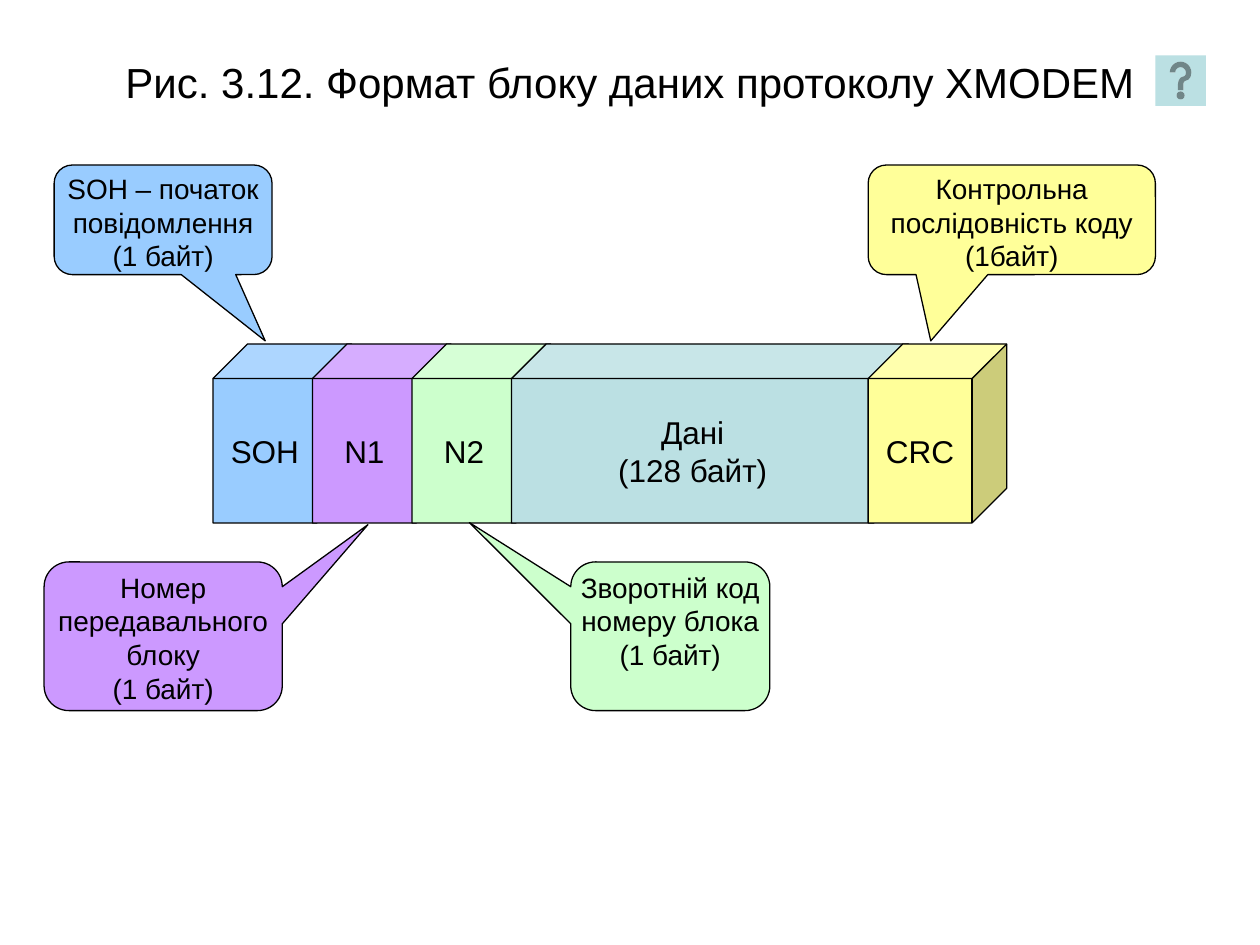
from dataclasses import dataclass

from pptx import Presentation
from pptx.dml.color import RGBColor
from pptx.enum.shapes import MSO_SHAPE
from pptx.enum.text import MSO_ANCHOR, MSO_AUTO_SIZE, PP_ALIGN
from pptx.util import Inches, Pt

COLUMNS, ROWS = 100, 75
BLACK, BLUE, VIOLET = "000000", "99CCFF", "CC99FF"
GREEN, TEAL, YELLOW = "CCFFCC", "BBE0E3", "FFFF99"
BLOCK_LEFT, BLOCK_TOP, BLOCK_HEIGHT, DEPTH = 16.9, 27.3, 14.2, 2.75

deck = Presentation()
deck.slide_width, deck.slide_height = Inches(10), Inches(7.5)
slide = deck.slides.add_slide(deck.slide_layouts[5])


@dataclass(frozen=True)
class Box:
    left: float
    top: float
    width: float
    height: float

    def emu(self) -> tuple[int, ...]:
        across, down = deck.slide_width / COLUMNS, deck.slide_height / ROWS
        return (round(self.left * across), round(self.top * down),
                round(self.width * across), round(self.height * down))


@dataclass(frozen=True)
class Field:
    label: str
    colour: str
    pitch: float
    width: float = 11


@dataclass(frozen=True)
class Callout:
    note: str
    colour: str
    box: Box
    tip: tuple[float, float]


FIELDS = [
    Field("SOH", BLUE, 7.9),
    Field("N1", VIOLET, 7.9),
    Field("N2", GREEN, 7.9),
    Field("Дані\n(128 байт)", TEAL, 28.3, 31.5),
    Field("CRC", YELLOW, 8.25),
]
CALLOUTS = [
    Callout("SOH – початок повідомлення\n(1 байт)", BLUE,
            Box(4.3, 13.1, 17.3, 8.7), (21.06, 27.06)),
    Callout("Контрольна послідовність коду\n(1байт)", YELLOW,
            Box(68.9, 13.1, 22.8, 8.7), (73.87, 27.06)),
    Callout("Номер передавального блоку\n(1 байт)", VIOLET,
            Box(3.5, 44.6, 18.9, 11.8), (29.2, 41.64)),
    Callout("Зворотній код номеру блока\n(1 байт)", GREEN,
            Box(45.3, 44.6, 15.8, 11.8), (37.26, 41.48)),
]


def rgb(colour: str) -> RGBColor:
    """Turn a hex string into a colour."""
    return RGBColor.from_string(colour)


def write(shape, text: str, *, size: float, anchor=MSO_ANCHOR.TOP,
          wrap: bool = True, inset: tuple[float, float] = (0.1, 0.05)) -> None:
    """Write centred lines of text into a shape."""
    frame = shape.text_frame
    frame.text = text
    frame.auto_size = MSO_AUTO_SIZE.NONE
    frame.word_wrap, frame.vertical_anchor = wrap, anchor
    frame.margin_left = frame.margin_right = Inches(inset[0])
    frame.margin_top = frame.margin_bottom = Inches(inset[1])
    for line in frame.paragraphs:
        line.alignment = PP_ALIGN.CENTER
        line.font.name, line.font.size = "Arial", Pt(size)
        line.font.color.rgb = rgb(BLACK)


def add_preset(kind: MSO_SHAPE, box: Box, colour: str, outlined: bool = True):
    """Add a flat filled preset shape, outlined in black on request."""
    shape = slide.shapes.add_shape(kind, *box.emu())
    shape.shadow.inherit = False
    shape.fill.solid()
    shape.fill.fore_color.rgb = rgb(colour)
    if outlined:
        shape.line.color.rgb = rgb(BLACK)
        shape.line.width = Pt(0.75)
    else:
        shape.line.fill.background()
    return shape


def add_field(field: Field, left: float) -> None:
    """Draw one field of the data block as a cube."""
    cube = add_preset(MSO_SHAPE.CUBE,
                      Box(left, BLOCK_TOP, field.width, BLOCK_HEIGHT), field.colour)
    cube.adjustments[0] = DEPTH / min(field.width, BLOCK_HEIGHT)
    write(cube, field.label, size=18, anchor=MSO_ANCHOR.MIDDLE, wrap=False)


def add_callout(callout: Callout) -> None:
    """Draw a note whose pointer ends at its tip."""
    box = callout.box
    bubble = add_preset(MSO_SHAPE.ROUNDED_RECTANGULAR_CALLOUT, box, callout.colour)
    bubble.adjustments[0] = (callout.tip[0] - box.left) / box.width - 0.5
    bubble.adjustments[1] = (callout.tip[1] - box.top) / box.height - 0.5
    write(bubble, callout.note, size=16, inset=(0.02, 0.01))


def main() -> None:
    """Build the slide and save it."""
    title = slide.shapes.title
    title.left, title.top, title.width, title.height = Box(0, 4, COLUMNS, 5).emu()
    write(title, "Рис. 3.12. Формат блоку даних протоколу XMODEM", size=24)
    add_preset(MSO_SHAPE.ACTION_BUTTON_HELP, Box(91.7, 4.4, 4, 4), TEAL, outlined=False)
    left = BLOCK_LEFT
    for field in FIELDS:
        add_field(field, left)
        left += field.pitch
    for callout in CALLOUTS:
        add_callout(callout)
    deck.save("out.pptx")


if __name__ == "__main__":
    main()
